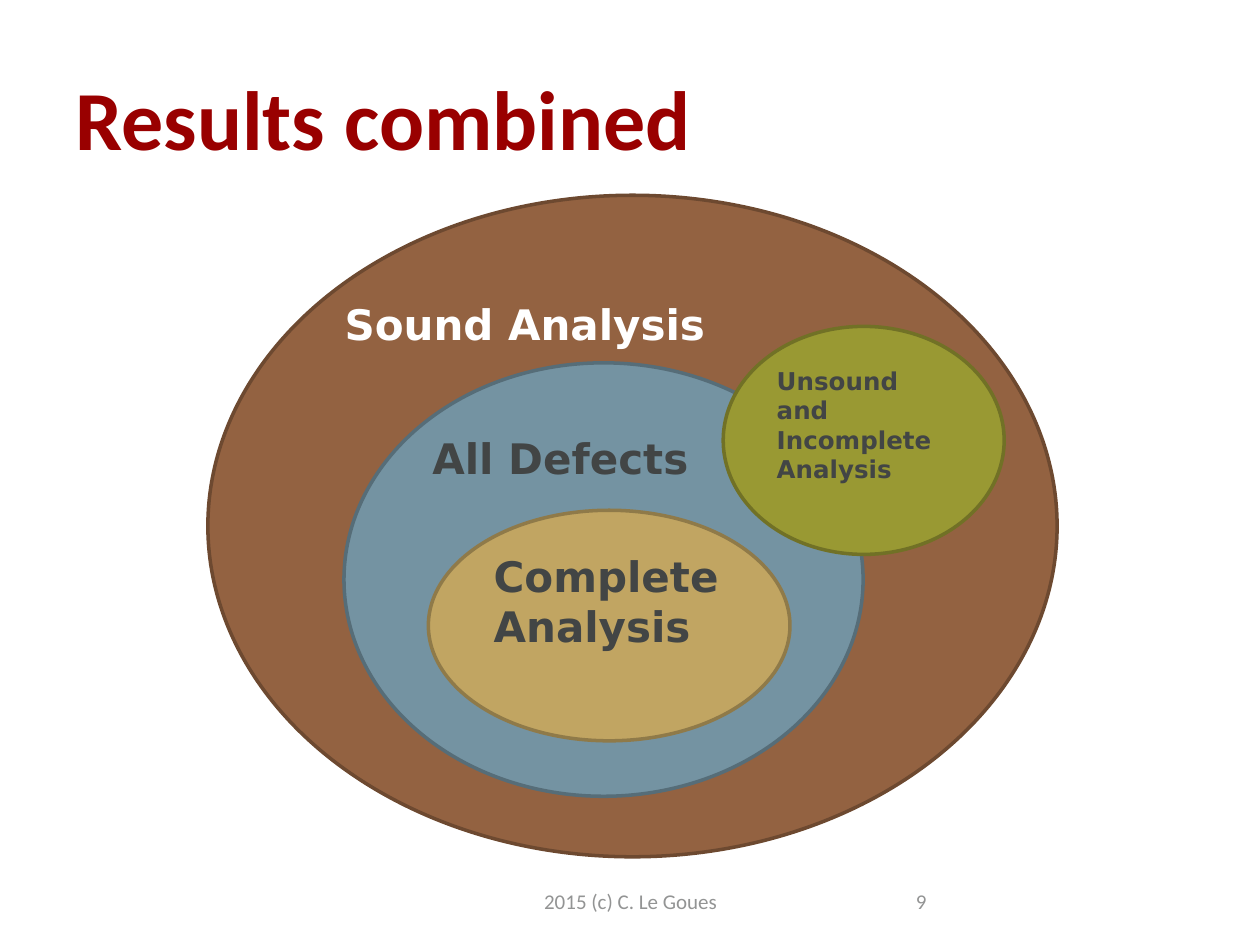
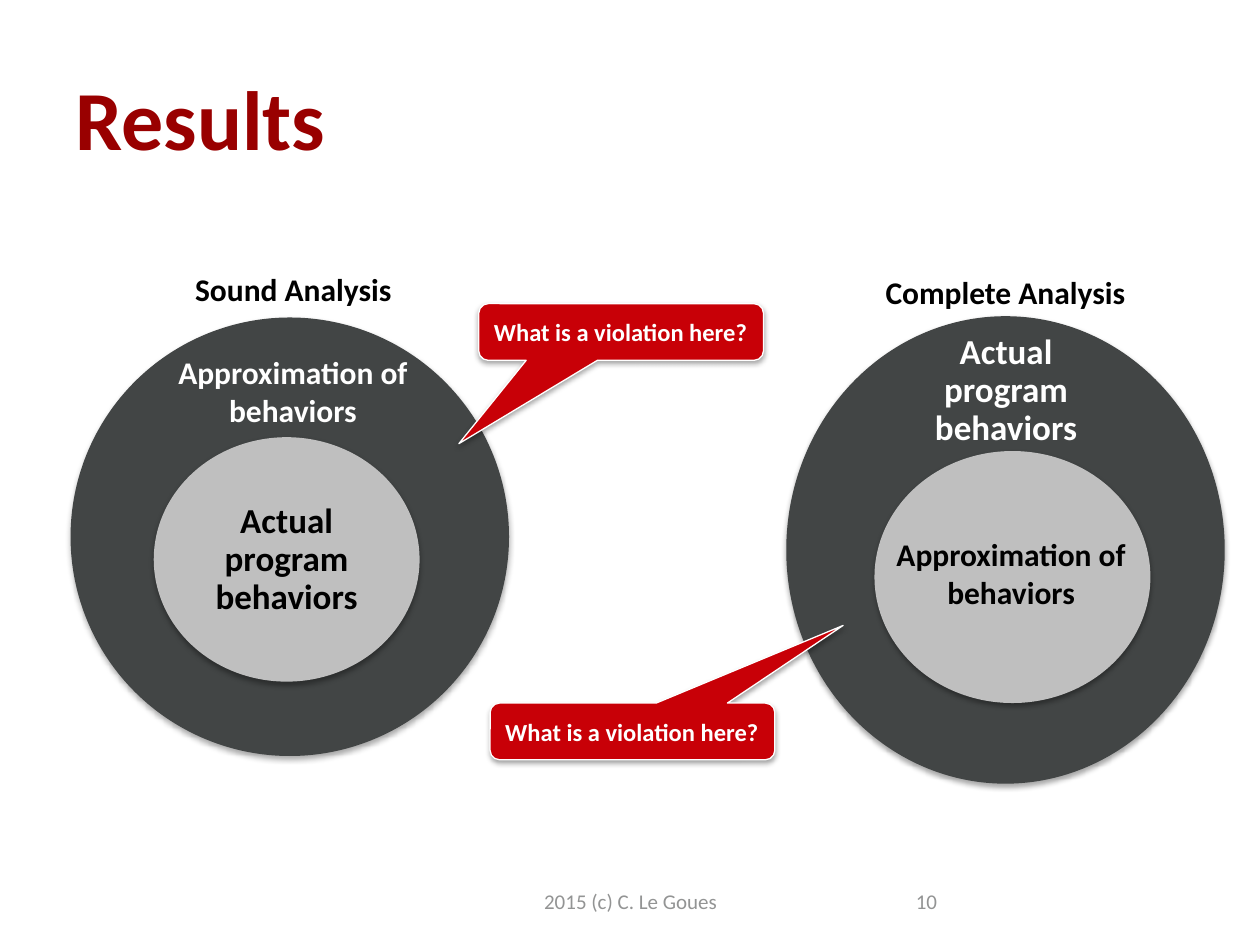
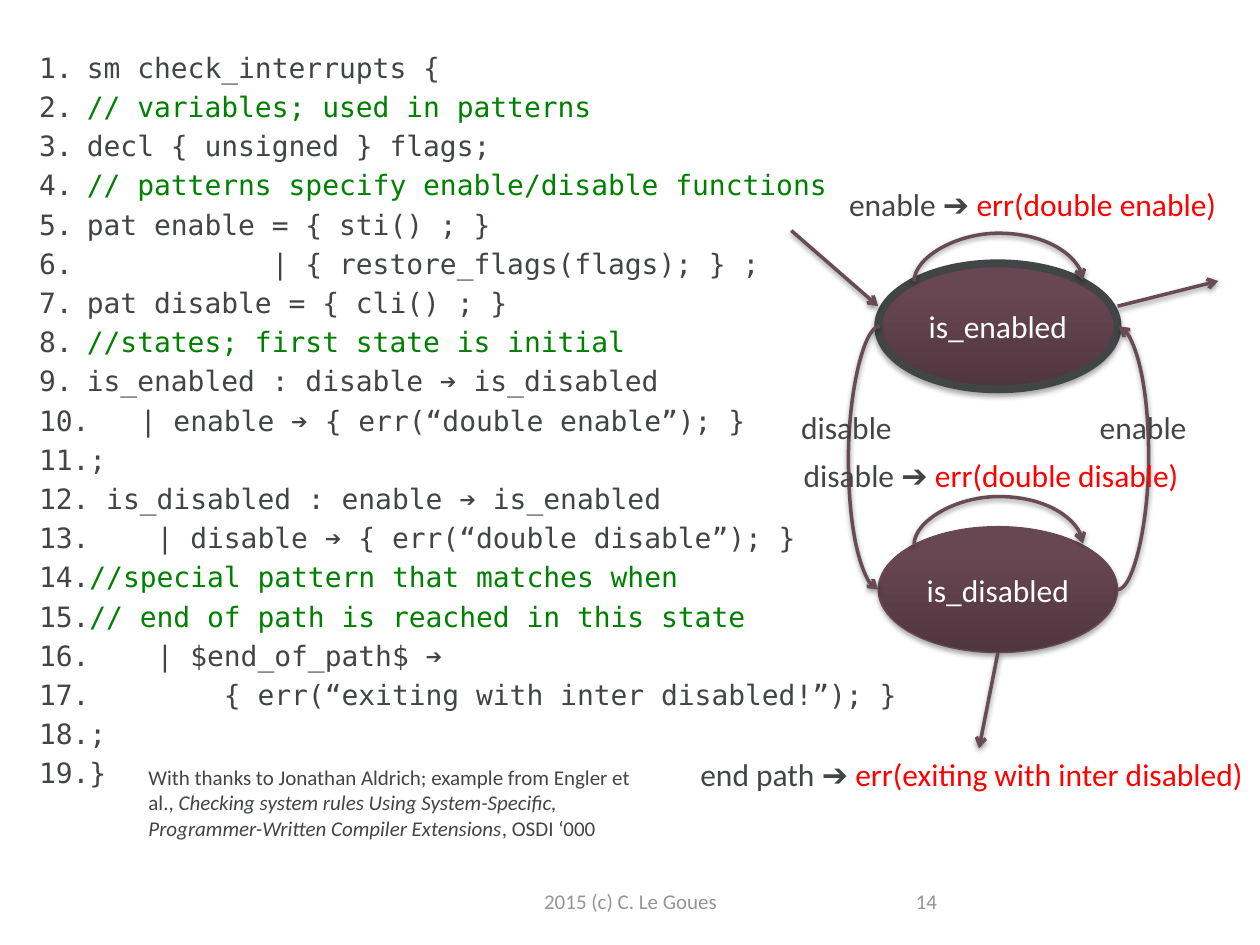
from lxml import etree
from pptx import Presentation
from pptx.dml.color import RGBColor
from pptx.enum.shapes import MSO_CONNECTOR as CONN, MSO_SHAPE as SHAPE
from pptx.enum.text import MSO_ANCHOR as ANCHOR, MSO_AUTO_SIZE as AUTO, PP_ALIGN as ALIGN
from pptx.oxml.ns import qn
from pptx.util import Inches, Pt

SANS, WIDE, MONO = "Calibri", "DejaVu Sans", "DejaVu Sans Mono"
INK, WHITE, BLACK = "424545", "FFFFFF", "000000"
TITLE_RED, CALLOUT_RED, ERROR_RED = "990000", "C80007", "FF0000"
GREEN, GREY, FOOTER_GREY = "008000", "BFBFBF", "939494"
PLUM, PLUM_DARK, PLUM_LIGHT, PLUM_EDGE = "674C56", "50363F", "684652", "654A54"

CODE = """sm check_interrupts {
// variables; used in patterns
decl { unsigned } flags;
// patterns specify enable/disable functions
pat enable = { sti() ; }
           | { restore_flags(flags); } ;
pat disable = { cli() ; }
//states; first state is initial
is_enabled : disable ➔ is_disabled
   | enable ➔ { err(“double enable”); }
;
 is_disabled : enable ➔ is_enabled
    | disable ➔ { err(“double disable”); }
//special pattern that matches when
// end of path is reached in this state
    | $end_of_path$ ➔
        { err(“exiting with inter disabled!”); }
;
}"""


def rgb(color):
    return RGBColor.from_string(color)


def inches(*values):
    return [Inches(v) for v in values]


def style_run(r, size, color, font=SANS, bold=False, italic=False):
    f = r.font
    f.size, f.name, f.bold, f.italic = Pt(size), font, bold, italic
    f.color.rgb = rgb(color)


def write(sp, text, size, color, font=SANS, bold=False, align=ALIGN.LEFT, anchor=ANCHOR.TOP):
    tf = sp.text_frame
    tf.text = text
    tf.vertical_anchor = anchor
    for p in tf.paragraphs:
        p.alignment = align
        for r in p.runs:
            style_run(r, size, color, font, bold)
    return tf


def add_text(s, box, text, size, color, wrap=False, **style):
    sp = s.shapes.add_textbox(*inches(*box))
    tf = write(sp, text, size, color, **style)
    tf.word_wrap = wrap
    return tf


def append_run(tf, text, size, color, italic=False):
    r = tf.paragraphs[0].add_run()
    r.text = text
    style_run(r, size, color, italic=italic)


def add_shadow(sp, alpha=35, distance=1.8):
    effects = etree.SubElement(sp._element.spPr, qn("a:effectLst"))
    shadow = etree.SubElement(effects, qn("a:outerShdw"), blurRad=str(Pt(3.1)),
                              dist=str(Pt(distance)), dir="5400000", rotWithShape="0")
    color = etree.SubElement(shadow, qn("a:srgbClr"), val=BLACK)
    etree.SubElement(color, qn("a:alpha"), val=str(alpha * 1000))


def add_filled(s, kind, box, fill, line=None, width=2, shadow=False):
    sp = s.shapes.add_shape(kind, *inches(*box))
    sp.fill.solid()
    sp.fill.fore_color.rgb = rgb(fill)
    if line:
        sp.line.color.rgb = rgb(line)
        sp.line.width = Pt(width)
    else:
        sp.line.fill.background()
    if shadow:
        add_shadow(sp)
    else:
        sp.shadow.inherit = False
    return sp


def add_arrow(s, start, end, bulge=None, turn=0):
    """Draw a straight arrow, or a curved one that swings out by bulge inches."""
    kind = CONN.CURVE if bulge else CONN.STRAIGHT
    line = s.shapes.add_connector(kind, *inches(*start, *end))
    line.line.color.rgb = rgb(PLUM)
    line.line.width = Pt(2)
    etree.SubElement(line.line._get_or_add_ln(), qn("a:tailEnd"), type="arrow")
    add_shadow(line, 38, 1.6)
    sp_pr = line._element.spPr
    if bulge:
        guides = sp_pr.find(qn("a:prstGeom")).get_or_add_avLst()
        ratio = round(Inches(bulge) / line.width * 100000)
        etree.SubElement(guides, qn("a:gd"), name="adj1", fmla=f"val {ratio}")
    if turn:
        sp_pr.find(qn("a:xfrm")).set("rot", str(turn * 60000))


def add_footer(s, number):
    add_text(s, (3.42, 6.95, 3.17, 0.4), "2015 (c) C. Le Goues", 12, FOOTER_GREY,
             wrap=True, align=ALIGN.CENTER, anchor=ANCHOR.MIDDLE)
    add_text(s, (7.17, 6.95, 2.33, 0.4), str(number), 12, FOOTER_GREY,
             wrap=True, anchor=ANCHOR.MIDDLE)


def place(sp, box):
    sp.left, sp.top, sp.width, sp.height = inches(*box)


def new_titled_slide(prs, title, number):
    s = prs.slides.add_slide(prs.slide_layouts[5])
    place(s.shapes.title, (0.5, 0.3, 9, 1.25))
    tf = write(s.shapes.title, title, 48, TITLE_RED, bold=True, anchor=ANCHOR.MIDDLE)
    tf.auto_size = AUTO.NONE
    add_footer(s, number)
    return s


def combined_slide(prs):
    s = new_titled_slide(prs, "Results combined", 9)
    sets = [
        ("Sound Analysis", (1.65, 1.55, 6.74, 5.25), "936241", "6D4930", 24, WHITE),
        ("All Defects", (2.73, 2.88, 4.12, 3.44), "7493A2", "566D78", 24, INK),
        ("Complete Analysis", (3.4, 4.05, 2.87, 1.83), "C1A562", "8F7A49", 24, INK),
        ("Unsound and Incomplete Analysis", (5.74, 2.59, 2.23, 1.81),
         "999933", "717126", 14, INK),
    ]
    for name, box, fill, edge, size, color in sets:
        sp = add_filled(s, SHAPE.OVAL, box, fill, edge)
        write(sp, name, size, color, WIDE, bold=True)


def analysis_panel(s, box, name, name_box, inner, actual, approximation):
    """Nest two ellipses; the other boxes are relative to the outer ellipse."""
    x, y, _, _ = box

    def inside(part):
        return (x + part[0], y + part[1], *part[2:])

    add_filled(s, SHAPE.OVAL, box, INK, shadow=True)
    add_filled(s, SHAPE.OVAL, inside(inner), GREY, shadow=True)
    actual_box, actual_color = actual
    tf = add_text(s, inside(actual_box), "Actual program behaviors", 20, actual_color,
                  wrap=True, bold=True, align=ALIGN.CENTER, anchor=ANCHOR.MIDDLE)
    tf.margin_left = tf.margin_right = tf.margin_top = tf.margin_bottom = Inches(0.16)
    tf.paragraphs[0].line_spacing = 0.9
    add_text(s, inside(name_box), name, 18, BLACK, bold=True)
    approximation_box, approximation_color = approximation
    add_text(s, inside(approximation_box), "Approximation of \nbehaviors", 18,
             approximation_color, bold=True, align=ALIGN.CENTER)


def add_callout(s, left, top, tip):
    sp = add_filled(s, SHAPE.ROUNDED_RECTANGULAR_CALLOUT, (left, top, 2.26, 0.45),
                    CALLOUT_RED, WHITE, 0.75, shadow=True)
    sp.adjustments[0], sp.adjustments[1] = tip
    write(sp, "What is a violation here?", 14, WHITE, bold=True, anchor=ANCHOR.MIDDLE)


def results_slide(prs):
    s = new_titled_slide(prs, "Results", 10)
    analysis_panel(s, (0.56, 2.52, 3.48, 3.48), "Sound Analysis", (0.89, -0.43, 1.78, 0.4),
                   inner=(0.66, 0.95, 2.11, 1.94),
                   actual=((0.97, 1.44, 1.49, 0.97), BLACK),
                   approximation=((0.74, 0.23, 2.05, 0.71), WHITE))
    analysis_panel(s, (6.24, 2.51, 3.48, 3.71), "Complete Analysis", (0.69, -0.39, 2.13, 0.4),
                   inner=(0.7, 1.07, 2.19, 2),
                   actual=((0.83, 0.28, 1.83, 0.63), WHITE),
                   approximation=((0.76, 1.69, 2.05, 0.71), BLACK))
    add_callout(s, 3.89, 5.58, (0.74, -1.87))
    add_callout(s, 3.8, 2.41, (-0.57, 1.97))


def number_line(p):
    pr = p._p.get_or_add_pPr()
    pr.set("marL", str(Inches(0.38)))
    pr.set("indent", str(-Inches(0.38)))
    color = etree.SubElement(pr, qn("a:buClr"))
    etree.SubElement(color, qn("a:srgbClr"), val=INK)
    etree.SubElement(pr, qn("a:buFont"), typeface=MONO)
    etree.SubElement(pr, qn("a:buAutoNum"), type="arabicPeriod")


def code_listing(body, box):
    place(body, box)
    tf = write(body, CODE, 16, INK, MONO)
    tf.auto_size = AUTO.NONE
    for p in tf.paragraphs:
        number_line(p)
        if p.text.startswith("//"):
            p.runs[0].font.color.rgb = rgb(GREEN)


def add_state(s, left, top, name, edge, edge_width):
    """Draw a state with the loop arrow above it."""
    sp = add_filled(s, SHAPE.OVAL, (left, top, 1.9, 1), PLUM, edge, edge_width, shadow=True)
    sp.fill.gradient()
    sp.fill.gradient_angle = 90
    stops = sp.fill.gradient_stops
    for stop, color, position in zip(stops, (PLUM_DARK, PLUM_LIGHT), (0, 0.8)):
        stop.color.rgb = rgb(color)
        stop.position = position
    write(sp, name, 18, WHITE, align=ALIGN.CENTER, anchor=ANCHOR.MIDDLE)
    x, y = left + 0.95, top - 0.53
    add_arrow(s, (x + 0.01, y + 1.34), (x, y), bulge=0.39, turn=90)


def add_transition(s, box, event, error=None):
    tf = add_text(s, box, event, 18, INK)
    if error:
        append_run(tf, f"err({error})", 18, ERROR_RED)


def state_machine(s, left, top):
    right, middle = left + 1.9, left + 0.95
    low = top + 2.09
    add_state(s, left, top, "is_enabled", INK, 4.5)
    add_state(s, left, low, "is_disabled", PLUM_EDGE, 0.75)
    add_arrow(s, (left + 0.01, top + 0.5), (left, low + 0.5), bulge=0.25)
    add_arrow(s, (right, low + 0.5), (right + 0.01, top + 0.5), bulge=0.25)
    add_arrow(s, (left - 0.69, top - 0.26), (left, top + 0.34))
    add_arrow(s, (right, top + 0.34), (right + 0.8, top + 0.14))
    add_arrow(s, (middle, low + 1), (middle - 0.15, low + 1.76))
    add_transition(s, (left - 0.71, top + 1.1, 0.93, 0.4), "disable")
    add_transition(s, (right - 0.24, top + 1.1, 0.9, 0.4), "enable")
    add_transition(s, (left - 0.33, top - 0.67, 3.2, 0.4), "enable ➔ ", "double enable")
    add_transition(s, (left - 0.69, low - 0.61, 3.26, 0.4), "disable ➔ ", "double disable")
    add_transition(s, (left - 1.51, low + 1.76, 4.62, 0.4), "end path ➔ ",
                   "exiting with inter disabled")


def checker_slide(prs):
    s = prs.slides.add_slide(prs.slide_layouts[1])
    title = s.shapes.title._element
    title.getparent().remove(title)
    code_listing(s.placeholders[1], (0.21, 0.35, 9, 6.4))
    state_machine(s, 6.97, 2.09)
    tf = add_text(s, (1.08, 6.02, 4.11, 0.71),
                  "With thanks to Jonathan Aldrich; example from Engler et al., ",
                  12, INK, wrap=True)
    append_run(tf, "Checking system rules Using System-Specific, "
                   "Programmer-Written Compiler Extensions", 12, INK, italic=True)
    append_run(tf, ", OSDI ‘000", 12, INK)
    add_footer(s, 14)


def main():
    prs = Presentation()
    prs.slide_width, prs.slide_height = inches(10, 7.5)
    combined_slide(prs)
    results_slide(prs)
    checker_slide(prs)
    prs.save("out.pptx")


if __name__ == "__main__":
    main()
